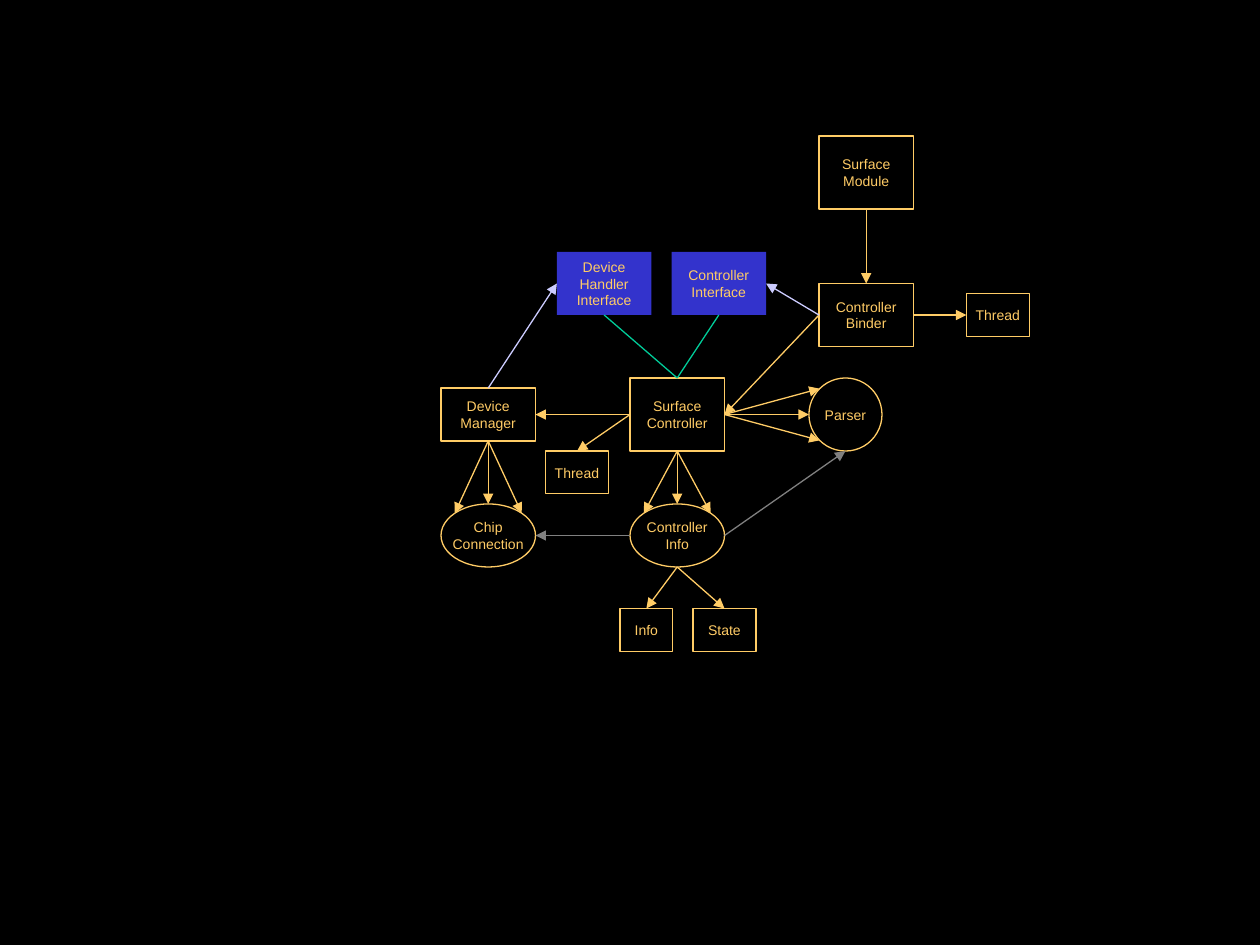
from math import sqrt

from lxml import etree
from pptx import Presentation
from pptx import util as u
from pptx.dml.color import RGBColor
from pptx.enum import shapes, text
from pptx.oxml.ns import qn

RECT = shapes.MSO_SHAPE.RECTANGLE
OVAL = shapes.MSO_SHAPE.OVAL
GOLD, BLUE, GREEN, LILAC, GRAY = "FFCC66", "3333CC", "00CC99", "CCCCFF", "808080"

# Places on an outline, as (x, y) offsets from the centre in half sizes
DIAGONAL = sqrt(0.5)
PLACES = {
    "top": (0, -1), "left": (-1, 0), "bottom": (0, 1), "right": (1, 0),
    "top left": (-DIAGONAL, -DIAGONAL), "top right": (DIAGONAL, -DIAGONAL),
    "bottom left": (-DIAGONAL, DIAGONAL), "bottom right": (DIAGONAL, DIAGONAL),
}
SIDES = ["top", "left", "bottom", "right"]


def color(hex_code):
    return RGBColor.from_string(hex_code)


class Diagram:
    font, size, weight = "Arial", u.Pt(8), u.Pt(0.75)

    def __init__(self, page):
        self.page = page
        page.background.fill.solid()
        page.background.fill.fore_color.rgb = color("000000")

    def node(self, label, left, top, width, height, kind=RECT, fill=None):
        box = self.page.shapes.add_shape(
            kind, *(u.Inches(n) for n in (left, top, width, height)))
        box.shadow.inherit = False
        if fill:
            box.fill.solid()
            box.fill.fore_color.rgb = color(fill)
            box.line.fill.background()
        else:
            box.fill.background()
            box.line.color.rgb = color(GOLD)
            box.line.width = self.weight
        frame = box.text_frame
        frame.word_wrap = False
        frame.vertical_anchor = text.MSO_ANCHOR.MIDDLE
        frame.text = label
        for para in frame.paragraphs:
            para.alignment = text.PP_ALIGN.CENTER
            para.font.name, para.font.size = self.font, self.size
            para.font.color.rgb = color(GOLD)
        return box

    def point(self, box, place):
        x, y = PLACES[place]
        return (int(box.left + box.width * (1 + x) / 2),
                int(box.top + box.height * (1 + y) / 2))

    def link(self, start, start_place, end, end_place, stroke=GOLD, arrow=True):
        line = self.page.shapes.add_connector(
            shapes.MSO_CONNECTOR.STRAIGHT,
            *self.point(start, start_place), *self.point(end, end_place))
        if start.auto_shape_type == RECT:
            line.begin_connect(start, SIDES.index(start_place))
        if end.auto_shape_type == RECT:
            line.end_connect(end, SIDES.index(end_place))
        line.line.color.rgb = color(stroke)
        line.line.width = self.weight
        if arrow:
            etree.SubElement(line.line._get_or_add_ln(), qn("a:tailEnd"), type="triangle")
        etree.SubElement(line._element.spPr, qn("a:effectLst"))

    def fan(self, start, start_place, end, end_places):
        for place in end_places:
            self.link(start, start_place, end, place)


def main():
    deck = Presentation()
    deck.slide_width, deck.slide_height = u.Inches(10), u.Inches(7.5)
    draw = Diagram(deck.slides.add_slide(deck.slide_layouts[6]))

    # Interfaces
    handler_interface = draw.node("Device\nHandler\nInterface", 4.42, 2, 0.75, 0.5, fill=BLUE)
    controller_interface = draw.node("Controller\nInterface", 5.33, 2, 0.75, 0.5, fill=BLUE)

    # Classes
    module = draw.node("Surface\nModule", 6.5, 1.08, 0.75, 0.58)
    binder = draw.node("Controller\nBinder", 6.5, 2.25, 0.75, 0.5)
    controller = draw.node("Surface\nController", 5, 3, 0.75, 0.58)
    manager = draw.node("Device\nManager", 3.5, 3.08, 0.75, 0.42)
    binder_thread = draw.node("Thread", 7.67, 2.33, 0.5, 0.34)
    controller_thread = draw.node("Thread", 4.33, 3.58, 0.5, 0.34)
    info = draw.node("Info", 4.92, 4.83, 0.42, 0.34)
    state = draw.node("State", 5.5, 4.83, 0.5, 0.34)

    # Classes with several instances
    connection = draw.node("Chip\nConnection", 3.5, 4, 0.75, 0.5, OVAL)
    controller_info = draw.node("Controller\nInfo", 5, 4, 0.75, 0.5, OVAL)
    parser = draw.node("Parser", 6.42, 3, 0.58, 0.58, OVAL)

    # Ownership
    draw.link(module, "bottom", binder, "top")
    draw.link(binder, "right", binder_thread, "left")
    draw.link(binder, "left", controller, "right")
    draw.link(controller, "left", manager, "right")
    draw.link(controller, "left", controller_thread, "top")
    draw.link(controller_info, "bottom", info, "top")
    draw.link(controller_info, "bottom", state, "top")
    draw.fan(manager, "bottom", connection, ["top left", "top", "top right"])
    draw.fan(controller, "bottom", controller_info, ["top left", "top", "top right"])
    draw.fan(controller, "right", parser, ["top left", "left", "bottom left"])

    # Implemented interfaces
    for interface in (handler_interface, controller_interface):
        draw.link(controller, "top", interface, "bottom", GREEN, arrow=False)

    # Interface use and plain references
    draw.link(manager, "top", handler_interface, "left", LILAC)
    draw.link(binder, "left", controller_interface, "right", LILAC)
    draw.link(controller_info, "left", connection, "right", GRAY)
    draw.link(controller_info, "right", parser, "bottom", GRAY)

    deck.save("out.pptx")


if __name__ == "__main__":
    main()
